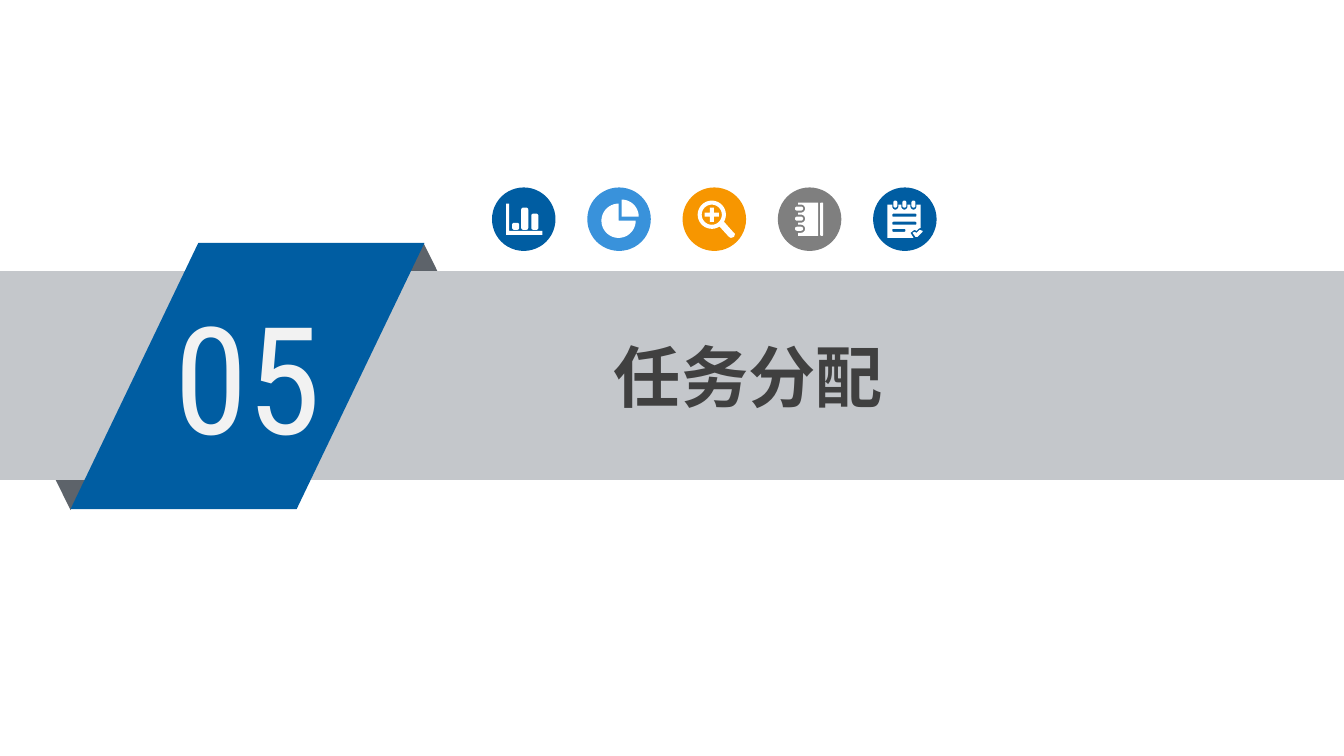
from dataclasses import dataclass
from math import cos, radians, sin

from lxml import etree
from pptx import Presentation
from pptx.dml.color import RGBColor
from pptx.enum import shapes, text
from pptx.oxml.ns import qn
from pptx.util import Inches, Pt


@dataclass(frozen=True)
class Theme:
    blue: str = "005DA2"
    sky: str = "3992DB"
    orange: str = "F79600"
    gray: str = "7F7F7F"
    band: str = "C4C7CB"
    fold: str = "5D636A"
    white: str = "FFFFFF"
    number: str = "F2F2F2"
    title: str = "404040"
    number_font: str = "Roboto Condensed"
    title_font: str = "Noto Sans CJK SC"
    number_size: float = 106.7
    title_size: float = 48


def arc(x, y, radius, start, end, steps=32):
    angles = [radians(start + (end - start) * i / steps) for i in range(steps + 1)]
    return [(x + radius * cos(a), y + radius * sin(a)) for a in angles]


def rounded(left, top, right, bottom, radius=0.02):
    corners = [(right, bottom), (left, bottom), (left, top), (right, top)]
    outline = []
    for i, (x, y) in enumerate(corners):
        center_x = x - radius if x == right else x + radius
        center_y = y - radius if y == bottom else y + radius
        outline += arc(center_x, center_y, radius, 90 * i, 90 * i + 90, 6)
    return outline


def bar_chart():
    axes = [(0.14, 0.16), (0.17, 0.16), (0.17, 0.43), (0.5, 0.43), (0.5, 0.47), (0.14, 0.47)]
    bars = [(0.2, 0.35), (0.29, 0.2), (0.39, 0.26)]
    return [axes] + [rounded(x, y, x + 0.07, 0.42) for x, y in bars]


def pie_chart():
    quarter = [(0.34, 0.29)] + arc(0.34, 0.29, 0.17, -90, 0)
    rest = [(0.31, 0.33)] + arc(0.31, 0.33, 0.17, 0, 270)
    return [quarter, rest]


def magnifier():
    x, y, arm, half = 0.29, 0.27, 0.07, 0.02
    handle = [(0.5, 0.44), (0.52, 0.46), (0.51, 0.49), (0.48, 0.5), (0.46, 0.49)]
    plus = [(-half, -arm), (half, -arm), (half, -half), (arm, -half),
            (arm, half), (half, half), (half, arm), (-half, arm),
            (-half, half), (-arm, half), (-arm, -half), (-half, -half)]
    return [arc(x, y, 0.14, 57, 390) + handle, arc(x, y, 0.1, 0, 360),
            [(x + dx, y + dy) for dx, dy in plus]]


def notebook():
    rings = [0.21, 0.31, 0.41]
    cover = [(0.2, 0.15), (0.4, 0.15), (0.4, 0.48), (0.2, 0.48)]
    for y in reversed(rings):
        cover += [(0.2, y + 0.04)] + arc(0.23, y, 0.04, 90, -90) + [(0.2, y - 0.04)]
    spine = rounded(0.42, 0.15, 0.45, 0.48, 0.01)
    return [cover, spine] + [rounded(0.17, y - 0.02, 0.25, y + 0.02) for y in rings]


def checklist():
    rings = [0.22, 0.31, 0.4]
    sheet = [(0.14, 0.17)]
    for x in rings:
        sheet += [(x - 0.03, 0.17)] + arc(x, 0.19, 0.03, 180, 0) + [(x + 0.03, 0.17)]
    sheet += [(0.47, 0.17), (0.47, 0.4), (0.45, 0.41), (0.43, 0.43),
              (0.41, 0.42), (0.37, 0.45), (0.4, 0.5), (0.14, 0.5)]
    tick = [(0.49, 0.44), (0.44, 0.49), (0.42, 0.49), (0.39, 0.45),
            (0.41, 0.44), (0.43, 0.45), (0.46, 0.42), (0.49, 0.43)]
    lines = [(0.26, 0.43), (0.34, 0.43), (0.41, 0.32)]
    return ([sheet, tick]
            + [rounded(x - 0.02, 0.13, x + 0.02, 0.2) for x in rings]
            + [rounded(0.19, y, end, y + 0.03, 0.01) for y, end in lines])


class Deck:
    def __init__(self, theme):
        self.theme = theme
        self.deck = Presentation()
        self.deck.slide_width, self.deck.slide_height = Inches(13.33), Inches(7.5)
        self.slide = self.deck.slides.add_slide(self.deck.slide_layouts[6])

    def paint(self, item, color):
        item.shadow.inherit = False
        item.fill.solid()
        item.fill.fore_color.rgb = RGBColor.from_string(color)
        item.line.fill.background()
        return item

    def group(self):
        return self.slide.shapes.add_group_shape().shapes

    def shape(self, parent, kind, box, color):
        return self.paint(parent.add_shape(kind, *map(Inches, box)), color)

    def outline(self, parent, left, top, contours, color):
        placed = [[(Inches(left + x), Inches(top + y)) for x, y in contour]
                  for contour in contours]
        builder = parent.build_freeform(*placed[0][0])
        for i, contour in enumerate(placed):
            if i:
                builder.move_to(*contour[0])
            builder.add_line_segments(contour[1:], close=True)
        return self.paint(builder.convert_to_shape(), color)

    def label(self, parent, words, box, font, size, color, bold=False):
        frame = parent.add_textbox(*map(Inches, box)).text_frame
        frame.word_wrap = True
        frame.vertical_anchor = text.MSO_ANCHOR.MIDDLE
        frame.text = words
        run = frame.paragraphs[0].runs[0]
        run.font.name, run.font.size, run.font.bold = font, Pt(size), bold
        run.font.color.rgb = RGBColor.from_string(color)
        etree.SubElement(run.font._element, qn("a:ea"), typeface=font)

    def badge(self, left, top, color, contours):
        parent = self.group()
        self.shape(parent, shapes.MSO_SHAPE.OVAL, (left, top, 0.63, 0.63), color)
        self.outline(parent, left, top, contours, self.theme.white)


def main():
    theme = Theme()
    deck = Deck(theme)
    kinds = shapes.MSO_SHAPE

    banner = deck.group()
    deck.shape(banner, kinds.ISOSCELES_TRIANGLE, (3.6, 2.41, 1.2, 1.21), theme.fold)
    lower_fold = deck.shape(banner, kinds.ISOSCELES_TRIANGLE, (0.1, 3.85, 1.2, 1.21), theme.fold)
    lower_fold.rotation = 180
    deck.shape(banner, kinds.RECTANGLE, (0, 2.69, 13.33, 2.07), theme.band)
    ribbon = deck.shape(banner, kinds.PARALLELOGRAM, (0.7, 2.41, 3.51, 2.64), theme.blue)
    ribbon.adjustments[0] = 0.48
    deck.label(banner, "05", (1.63, 2.77, 1.93, 1.9),
               theme.number_font, theme.number_size, theme.number)
    deck.label(deck.slide.shapes, "任务分配", (5.99, 3.27, 7.36, 0.91),
               theme.title_font, theme.title_size, theme.title, bold=True)

    badges = [(theme.blue, bar_chart()), (theme.sky, pie_chart()),
              (theme.orange, magnifier()), (theme.gray, notebook()),
              (theme.blue, checklist())]
    first, last = 4.88, 8.66
    step = (last - first) / (len(badges) - 1)
    for i, (color, contours) in enumerate(badges):
        deck.badge(first + i * step, 1.86, color, contours)

    deck.deck.save("out.pptx")


if __name__ == "__main__":
    main()
